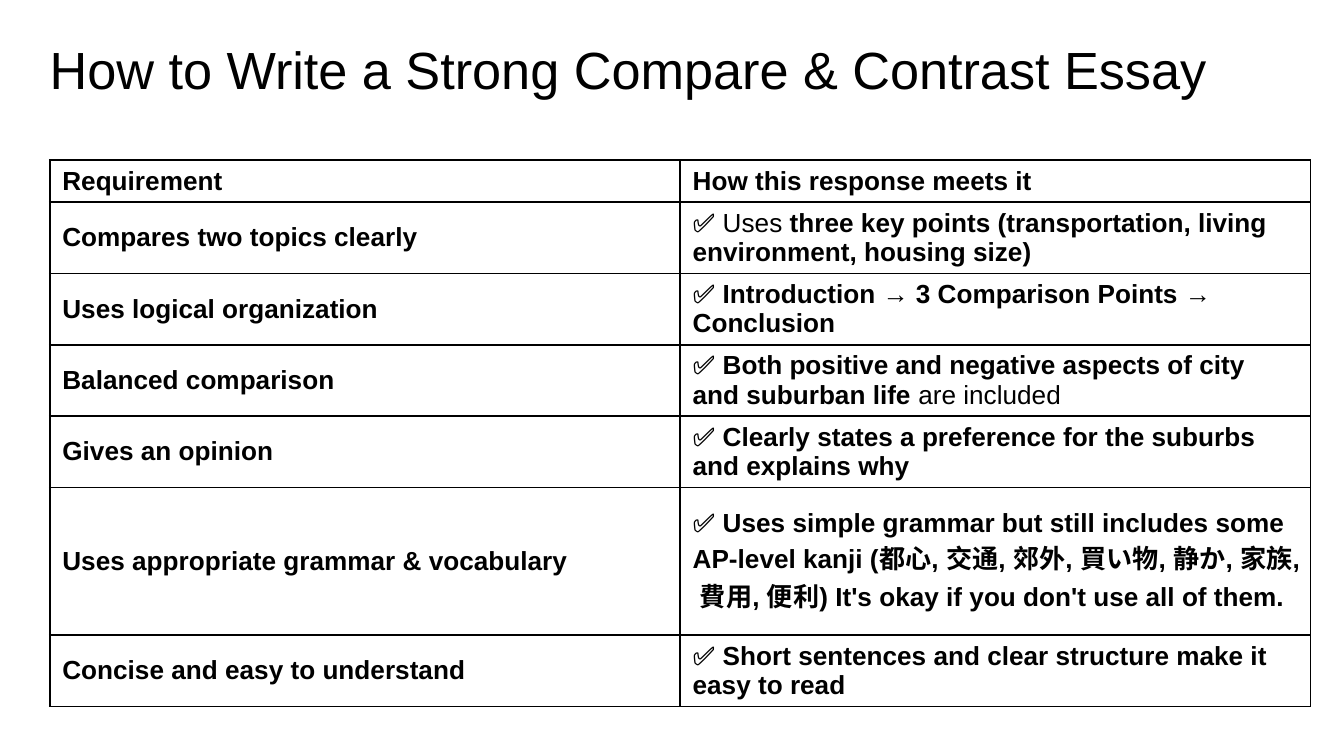
from lxml.etree import SubElement
from pptx import Presentation
from pptx.dml.color import RGBColor
from pptx.enum.text import MSO_ANCHOR, MSO_AUTO_SIZE, PP_ALIGN
from pptx.oxml.ns import qn
from pptx.util import Inches, Pt

BLACK = RGBColor(0x00, 0x00, 0x00)
WHITE = RGBColor(0xFF, 0xFF, 0xFF)

TITLE = "How to Write a Strong Compare & Contrast Essay"
HEADERS = ("Requirement", "How this response meets it")

# Requirement, then the answer as (text, bold) runs
REQUIREMENTS = [
    ("Compares two topics clearly",
     [("✅ Uses ", False),
      ("three key points (transportation, living environment, housing size)", True)]),
    ("Uses logical organization",
     [("✅ ", False),
      ("Introduction → 3 Comparison Points → Conclusion", True)]),
    ("Balanced comparison",
     [("✅ ", False),
      ("Both positive and negative aspects of city and suburban life", True),
      (" are included", False)]),
    ("Gives an opinion",
     [("✅ ", False),
      ("Clearly states a preference for the suburbs and explains why", True)]),
    ("Uses appropriate grammar & vocabulary",
     [("✅ ", False),
      ("Uses simple grammar but still includes some AP-level kanji "
       "(都心, 交通, 郊外, 買い物, 静か, 家族, 費用, 便利) "
       "It's okay if you don't use all of them.", True)]),
    ("Concise and easy to understand",
     [("✅ ", False),
      ("Short sentences and clear structure make it easy to read", True)]),
]
ROW_HEIGHTS = [0.31, 0.53, 0.53, 0.53, 0.53, 0.75, 0.53]


class SlideBuilder:
    """Holds the style and the current slide."""

    font_name = "Arial"
    title_size = Pt(28)
    cell_size = Pt(14)
    border_width = Pt(1)
    side_margin = Inches(0.75 / 8)
    right_margin = Inches(0.1)
    end_margin = Inches(0.75 / 16)

    def __init__(self, slide):
        self.slide = slide
        slide.background.fill.solid()
        slide.background.fill.fore_color.rgb = WHITE

    def style_font(self, font, size):
        font.name = self.font_name
        font.size = size
        font.color.rgb = BLACK

    def add_title(self, text, left, top, width, height):
        title = self.slide.shapes.title
        title.left, title.top = Inches(left), Inches(top)
        title.width, title.height = Inches(width), Inches(height)
        frame = title.text_frame
        frame.text = text
        frame.word_wrap = True
        frame.auto_size = MSO_AUTO_SIZE.NONE
        frame.vertical_anchor = MSO_ANCHOR.TOP
        paragraph = frame.paragraphs[0]
        paragraph.alignment = PP_ALIGN.LEFT
        self.style_font(paragraph.font, self.title_size)

    def add_table(self, rows, left, top, width, row_heights):
        shape = self.slide.shapes.add_table(
            len(rows), len(rows[0]), Inches(left), Inches(top),
            Inches(width), Inches(sum(row_heights)))
        table = shape.table
        table.first_row = False
        table.horz_banding = False
        for row, height, contents in zip(table.rows, row_heights, rows):
            row.height = Inches(height)
            for cell, runs in zip(row.cells, contents):
                self.fill_cell(cell, runs)

    def fill_cell(self, cell, runs):
        cell.vertical_anchor = MSO_ANCHOR.MIDDLE
        cell.margin_left = self.side_margin
        cell.margin_right = self.right_margin
        cell.margin_top = cell.margin_bottom = self.end_margin
        self.add_borders(cell)
        cell.fill.background()
        paragraph = cell.text_frame.paragraphs[0]
        self.style_font(paragraph.font, self.cell_size)
        for text, bold in runs:
            run = paragraph.add_run()
            run.text = text
            self.style_font(run.font, self.cell_size)
            run.font.bold = bold

    def add_borders(self, cell):
        properties = cell._tc.get_or_add_tcPr()
        for side in ("a:lnL", "a:lnR", "a:lnT", "a:lnB"):
            line = SubElement(properties, qn(side), w=str(self.border_width))
            fill = SubElement(line, qn("a:solidFill"))
            SubElement(fill, qn("a:srgbClr"), val=str(BLACK))


def main():
    # Widescreen slide, 16 by 9
    presentation = Presentation()
    presentation.slide_width = Inches(10)
    presentation.slide_height = Inches(10 * 9 / 16)
    title_only = presentation.slide_layouts[5]
    builder = SlideBuilder(presentation.slides.add_slide(title_only))

    # Requirements table
    rows = [[[(header, True)] for header in HEADERS]]
    rows += [[[(requirement, True)], answer] for requirement, answer in REQUIREMENTS]
    builder.add_table(rows, 0.37, 1.19, 9.38, ROW_HEIGHTS)

    # Title
    builder.add_title(TITLE, 0.27, 0.23, 9.07, 0.57)

    presentation.save("out.pptx")


if __name__ == "__main__":
    main()
